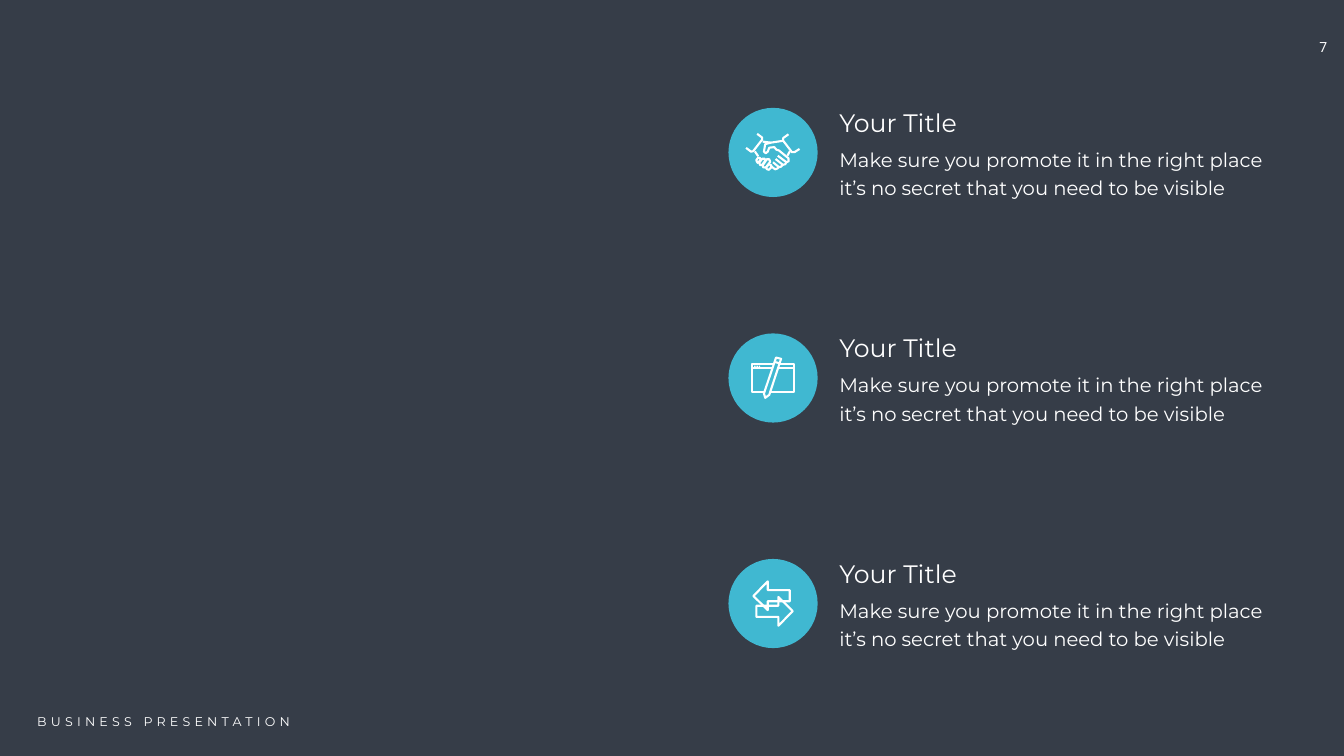
import dataclasses

import pptx
import pptx.dml.color
import pptx.enum.shapes
import pptx.enum.text
import pptx.util

Pt = pptx.util.Pt

# Icon strokes are in points, measured from the centre of the icon's circle.
HANDSHAKE_LINES = [
    # arms and wrists
    [(-38.5, -6.5), (-31.3, -1.1), (-28.4, -1.8), (-15.5, -18.4), (-15.5, -21.2), (-22.7, -26.6)],
    [(37.8, -5), (30.6, -0.4), (27, -0.4), (14.4, -16.9), (14.4, -20.5), (22, -25.9)],
    [(-14.8, -15.5), (-3.2, -14), (14, -16.6)],
    [(-26, -1.5), (-21.2, 5.4)],
    [(24.1, -1.8), (20.5, 4.7)],
    # thumb and fingers of the right hand
    [(-3.2, -14), (-11.2, -11.9), (-13, -1.1), (-10.4, 1.1), (-7.6, -1.1), (-5.4, -6.8),
     (1.8, -7.6), (4.7, -4), (8.3, -2.9), (22, 8.3), (22.3, 12.6), (19.1, 14), (6.8, 4.7)],
    [(19.1, 14), (17.3, 16.9), (14, 17.6), (3.6, 9.4)],
    [(14, 17.6), (11.2, 20.5), (8.3, 20.9), (0, 14)],
    [(8.3, 20.9), (6.1, 23), (2.9, 24.1), (-1.8, 20.5)],
]
HANDSHAKE_FINGERS = [
    [(-24.1, 11.2), (-21.2, 7.2), (-18, 8.3), (-18.4, 11.5), (-22, 14.8)],
    [(-19.8, 14.8), (-15.5, 9), (-11.9, 9), (-11.2, 11.9), (-15.5, 17.6), (-18.4, 18)],
    [(-15.1, 19.1), (-9, 9.7), (-5.4, 9.7), (-4, 13.3), (-10.4, 21.6), (-14, 21.2)],
    [(-9.7, 21.2), (-6.1, 16.9), (-2.5, 18.4), (-2.5, 21.2), (-6.1, 24.8), (-9, 23.8)],
]
BROWSER_LINES = [
    [(2, -20.5), (-30.6, -20.5), (-30.6, 19.8), (-12.3, 19.8)],
    [(9.2, -20.5), (29.9, -20.5), (29.9, 19.8), (-4, 19.8)],
    [(-30.6, -14), (0, -14)],
    [(7, -14), (29.9, -14)],
    [(3.2, -22.7), (9.4, -20.9)],
]
PEN = [(4.3, -29.2), (11.5, -27.4), (-5.4, 24.1), (-11.2, 28.4), (-13, 22)]
BROWSER_DOTS = [(-25.9 + 3.2 * number, -16.7) for number in range(3)]
LEFT_ARROW = [(-28.1, -10.8), (-7.6, -31.7), (-7.6, -19.1), (23.8, -19.1),
              (23.8, -3.2), (-7.6, -3.2), (-7.6, 9.4)]
RIGHT_ARROW = [(-x, -y) for x, y in LEFT_ARROW]

ICONS = [
    {"open_lines": HANDSHAKE_LINES, "outlines": HANDSHAKE_FINGERS},
    {"open_lines": BROWSER_LINES, "outlines": [PEN], "dots": BROWSER_DOTS},
    {"outlines": [LEFT_ARROW, RIGHT_ARROW]},
]

ITEM_TITLE = "Your Title"
ITEM_BODY = ("Make sure you promote it in the right place "
             "it’s no secret that you need to be visible")


@dataclasses.dataclass(frozen=True)
class Theme:
    background: str = "363D48"
    accent: str = "40B8D1"
    white: str = "FFFFFF"
    font: str = "Montserrat"
    number_font: str = "Roboto"
    title_size: float = 36
    body_size: float = 28
    number_size: float = 20
    footer_size: float = 18
    body_line: float = 40.8
    icon_line: float = 3


class SlideBuilder:
    def __init__(self, slide, theme):
        self.slide = slide
        self.theme = theme
        background = slide.background.fill
        background.solid()
        background.fore_color.rgb = self.color(theme.background)

    @staticmethod
    def color(value):
        return pptx.dml.color.RGBColor.from_string(value)

    def text(self, content, left, top, width, height, size, font=None,
             letter_spacing=0, **paragraph_format):
        box = self.slide.shapes.add_textbox(Pt(left), Pt(top), Pt(width), Pt(height))
        box.text_frame.word_wrap = True
        paragraph = box.text_frame.paragraphs[0]
        for name, value in paragraph_format.items():
            setattr(paragraph, name, value)
        run = paragraph.add_run()
        run.text = content
        for name, value in {"name": font or self.theme.font, "size": Pt(size)}.items():
            setattr(run.font, name, value)
        run.font.color.rgb = self.color(self.theme.white)
        if letter_spacing:
            run.font._element.set("spc", str(letter_spacing * 100))

    def circle(self, center_x, center_y, diameter, color):
        shape = self.slide.shapes.add_shape(
            pptx.enum.shapes.MSO_SHAPE.OVAL, Pt(center_x - diameter / 2),
            Pt(center_y - diameter / 2), Pt(diameter), Pt(diameter))
        shape.shadow.inherit = False
        shape.fill.solid()
        shape.fill.fore_color.rgb = self.color(color)
        shape.line.fill.background()

    def icon(self, center_x, center_y, open_lines=(), outlines=(), dots=()):
        """Draw all strokes as one unfilled freeform, then the small dots."""
        strokes = [(line, False) for line in open_lines]
        strokes += [(line, True) for line in outlines]
        builder = None
        for points, closed in strokes:
            (start_x, start_y), *others = [(Pt(x), Pt(y)) for x, y in points]
            if builder is None:
                builder = self.slide.shapes.build_freeform(start_x, start_y)
            else:
                builder.move_to(start_x, start_y)
            builder.add_line_segments(others, close=closed)
        shape = builder.convert_to_shape(Pt(center_x), Pt(center_y))
        shape.shadow.inherit = False
        shape.fill.background()
        shape.line.color.rgb = self.color(self.theme.white)
        shape.line.width = Pt(self.theme.icon_line)
        for x, y in dots:
            self.circle(center_x + x, center_y + y, 2.2, self.theme.white)

    def item(self, center_y, icon):
        center_x, text_left = 1104.1, 1191.6
        self.circle(center_x, center_y, 127.4, self.theme.accent)
        self.icon(center_x, center_y, **icon)
        self.text(ITEM_TITLE, text_left, center_y - 68.7, 346.3, 51.1, self.theme.title_size)
        self.text(ITEM_BODY, text_left, center_y - 17.8, 631.4, 86.4, self.theme.body_size,
                  line_spacing=Pt(self.theme.body_line))


def main():
    presentation = pptx.Presentation()
    presentation.slide_width = Pt(1919.52)
    presentation.slide_height = Pt(1080)
    blank_layout = presentation.slide_layouts[6]
    theme = Theme()
    builder = SlideBuilder(presentation.slides.add_slide(blank_layout), theme)

    builder.text("7", 1870, 51.8, 40, 31, theme.number_size, theme.number_font,
                 alignment=pptx.enum.text.PP_ALIGN.CENTER)
    builder.text("BUSINESS PRESENTATION", 46.1, 1016.6, 435.6, 28.8,
                 theme.footer_size, letter_spacing=6)
    first_center, pitch = 217.8, 322.2
    for row, icon in enumerate(ICONS):
        builder.item(first_center + row * pitch, icon)

    presentation.save("out.pptx")


if __name__ == "__main__":
    main()
